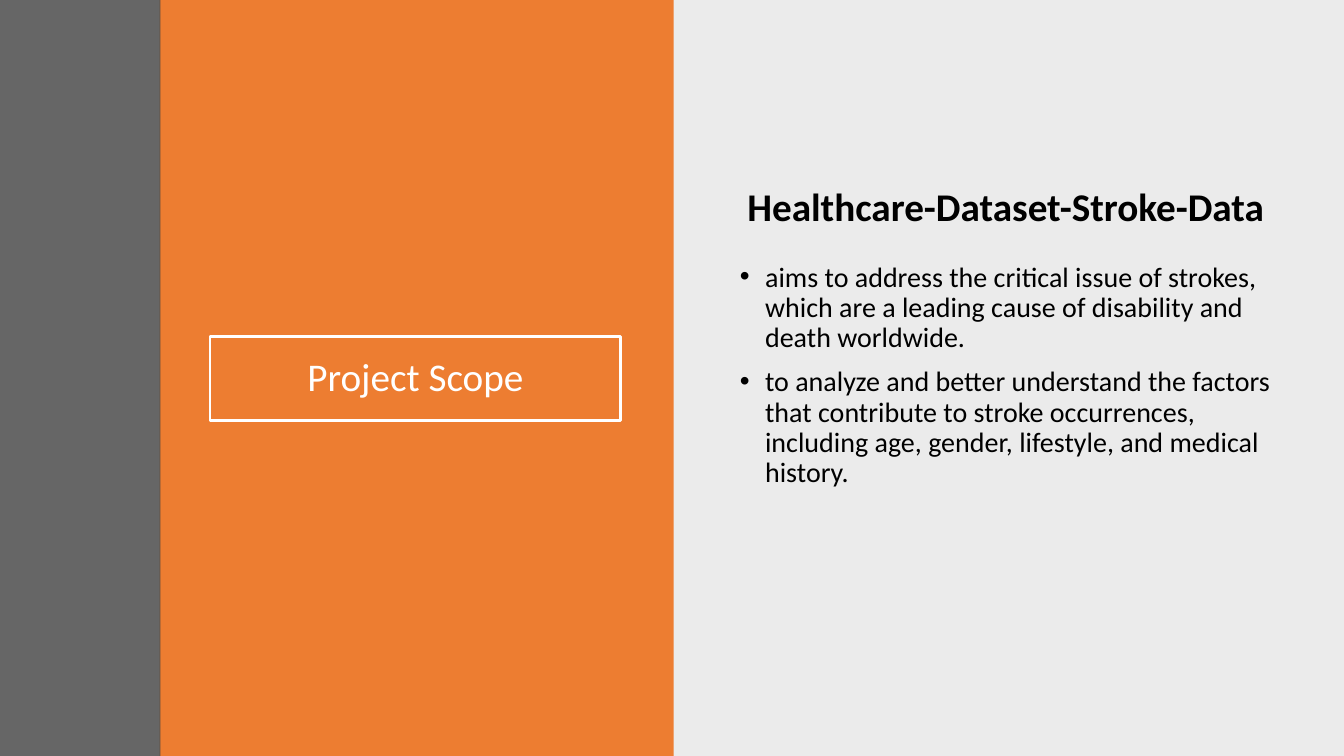
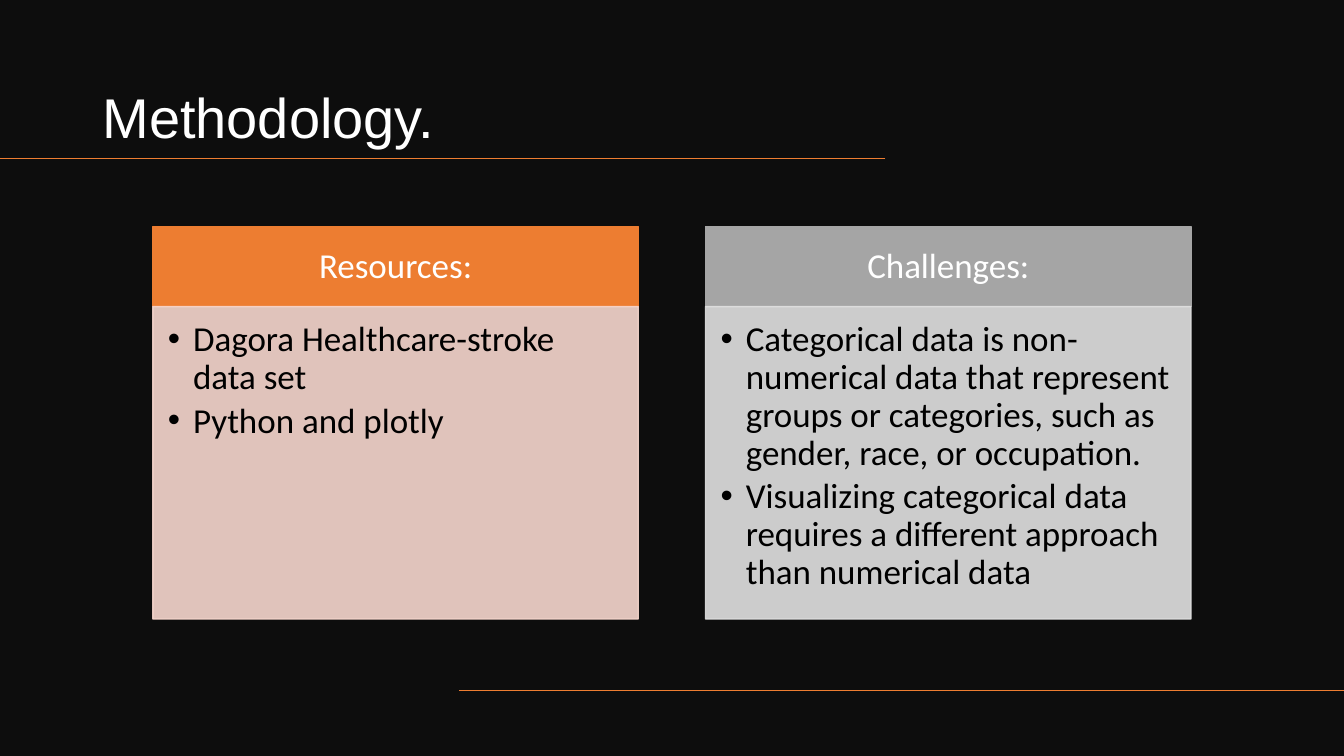
from pptx import Presentation, util as u
from pptx.dml.color import RGBColor
from pptx.enum import shapes, text
from pptx.oxml import ns
from lxml import etree

COLS, ROWS = 160, 90
CELL = u.Inches(7.5) / ROWS
ORANGE, GREY, WHITE, BLACK = "ED7D31", "A5A5A5", "FFFFFF", "000000"
BODY, HEAD = "Calibri", "Arial"
LEFT, MID = text.PP_ALIGN.LEFT, text.PP_ALIGN.CENTER
PAGE = (0, 0, COLS, ROWS)


def cells(*sizes):
    return [u.Emu(round(size * CELL)) for size in sizes]


def inside(box, x, y, wide, high):
    return box[0] + x, box[1] + y, wide, high


def paint(part, color):
    part.solid()
    part.fore_color.rgb = RGBColor.from_string(color)


def fade(shape, share):
    for node in shape.element.spPr.iter(ns.qn("a:srgbClr")):
        etree.SubElement(node, ns.qn("a:alpha"), val=str(share * 1000))


def block(slide, box, fill, line=None, alpha=100):
    shape = slide.shapes.add_shape(shapes.MSO_SHAPE.RECTANGLE, *cells(*box))
    shape.shadow.inherit = False
    paint(shape.fill, fill)
    if line:
        paint(shape.line.fill, line)
        shape.line.width = u.Pt(1)
    else:
        shape.line.fill.background()
    if alpha < 100:
        fade(shape, alpha)
    return shape


def write(shape, lines, size, color, font=BODY, align=LEFT, anchor="TOP",
          bold=False, before=0, after=0, bullet=False, pad=None):
    frame = shape.text_frame
    frame.text = "\n".join(lines)
    frame.word_wrap = True
    frame.auto_size = text.MSO_AUTO_SIZE.NONE
    frame.vertical_anchor = text.MSO_ANCHOR[anchor]
    if pad:
        (frame.margin_left, frame.margin_top,
         frame.margin_right, frame.margin_bottom) = map(u.Inches, pad)
    for para in frame.paragraphs:
        para.alignment = align
        para.line_spacing = 0.9
        para.space_before, para.space_after = u.Pt(before), u.Pt(after)
        if bullet:
            props = para._p.get_or_add_pPr()
            props.set("marL", str(u.Inches(0.25)))
            props.set("indent", str(-u.Inches(0.25)))
            etree.SubElement(props, ns.qn("a:buFont"), typeface="Arial")
            etree.SubElement(props, ns.qn("a:buChar"), char="\u2022")
        for run in para.runs:
            run.font.name, run.font.size, run.font.bold = font, u.Pt(size), bold
            run.font.color.rgb = RGBColor.from_string(color)


def label(slide, box, lines, *args, **style):
    write(slide.shapes.add_textbox(*cells(*box)), lines, *args, **style)


def title(slide, box, words, size, **style):
    shape = slide.shapes.title
    shape.left, shape.top, shape.width, shape.height = cells(*box)
    write(shape, [words], size, WHITE, **style)
    shape.element.getparent().append(shape.element)
    return shape


def rule(slide, start, end, row):
    line = slide.shapes.add_connector(
        shapes.MSO_CONNECTOR.STRAIGHT, *cells(start, row, end, row))
    paint(line.line.fill, ORANGE)
    line.line.width = u.Pt(1)
    etree.SubElement(line.element.spPr, ns.qn("a:effectLst"))


def card(slide, box, head, lines, dark, pale):
    wide, high = box[2:]
    top = 9.5
    bar = block(slide, inside(box, 0, 0, wide, top), dark, dark)
    write(bar, [head], 25, WHITE, align=MID, anchor="MIDDLE",
          pad=(0.19, 0.11, 0.19, 0.11))
    body = block(slide, inside(box, 0, top, wide, high - top), pale, pale, 90)
    write(body, lines, 25, BLACK, after=4, bullet=True,
          pad=(0.15, 0.15, 0.19, 0.22))


def scope(slide, box, name, head, lines):
    half, edge = COLS / 2, 19
    block(slide, inside(box, half, 0, half, ROWS), BLACK, alpha=8)
    block(slide, inside(box, edge, 0, half - edge + 0.2, ROWS), ORANGE)
    frame = title(slide, inside(box, 25, 40.1, 48.9, 10), name, 28,
                  align=MID, anchor="MIDDLE")
    paint(frame.line.fill, WHITE)
    frame.line.width = u.Pt(2)
    block(slide, inside(box, 0, 0, edge + 0.1, ROWS), "404040", alpha=80)
    label(slide, inside(box, 86.9, 30.7, 66.4, 33.5), lines, 20, BLACK,
          before=10, bullet=True)
    label(slide, inside(box, 87.8, 21.8, 66.4, 33.5), [head], 28, BLACK,
          bold=True, after=6)


def method(slide, box, name, cards):
    block(slide, box, "0D0D0D")
    title(slide, inside(box, 11, 5, 94.3, 13.5), name, 40, font=HEAD,
          anchor="BOTTOM")
    span = 105.4
    rule(slide, span, 0, 18.9)
    rule(slide, COLS, COLS - span, 82.2)
    for i, item in enumerate(cards):
        card(slide, inside(box, 18.2 + i * 65.8, 27, 57.8, 46.7), *item)


deck = Presentation()
deck.slide_width, deck.slide_height = cells(COLS, ROWS)


def page():
    return deck.slides.add_slide(deck.slide_layouts[5])


scope(page(), PAGE, "Project Scope", "Healthcare-Dataset-Stroke-Data", [
    "aims to address the critical issue of strokes, which are a leading "
    "cause of disability and death worldwide.",
    "to analyze and better understand the factors that contribute to stroke "
    "occurrences, including age, gender, lifestyle, and medical history."])

method(page(), PAGE, "Methodology.", [
    ("Resources:", ["Dagora Healthcare-stroke data set", "Python and plotly"],
     ORANGE, "F8D7CE"),
    ("Challenges:", [
        "Categorical data is non-numerical data that represent groups or "
        "categories, such as gender, race, or occupation.",
        "Visualizing categorical data requires a different approach than "
        "numerical data"], GREY, "E1E1E1")])

deck.save("out.pptx")
